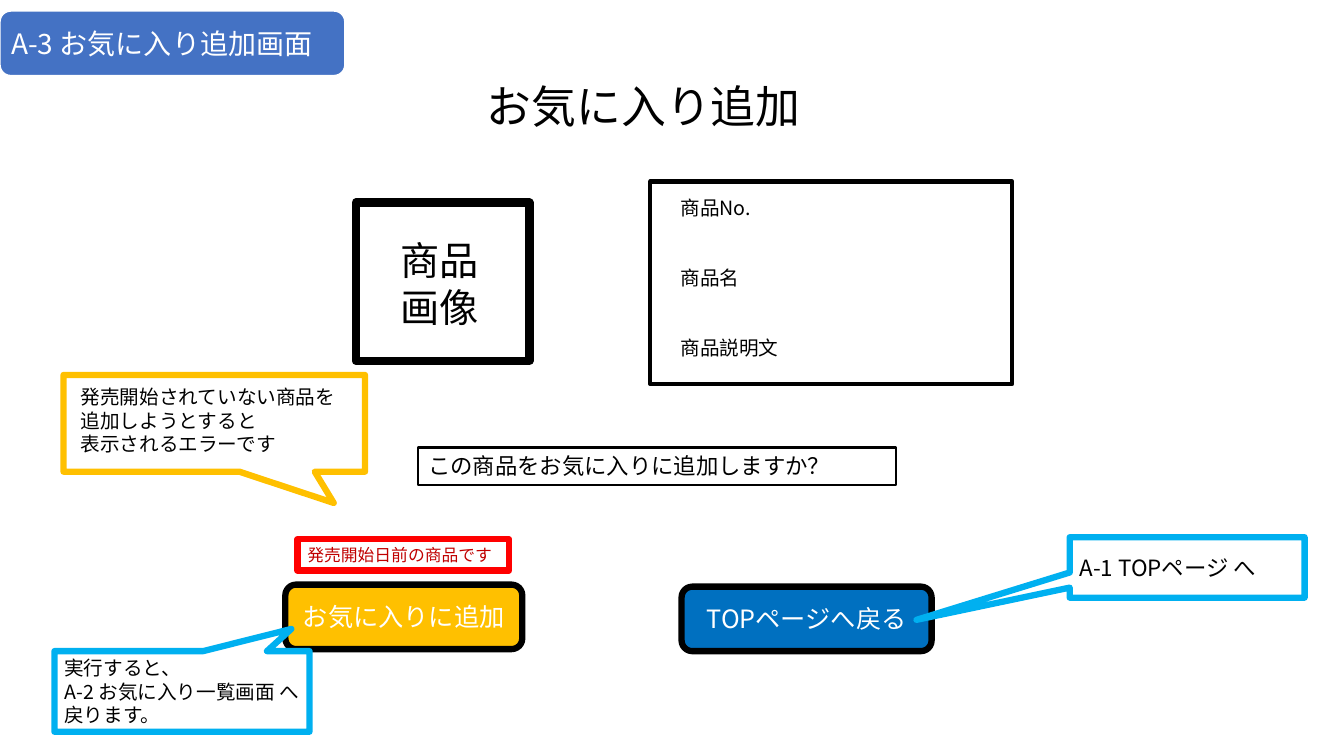
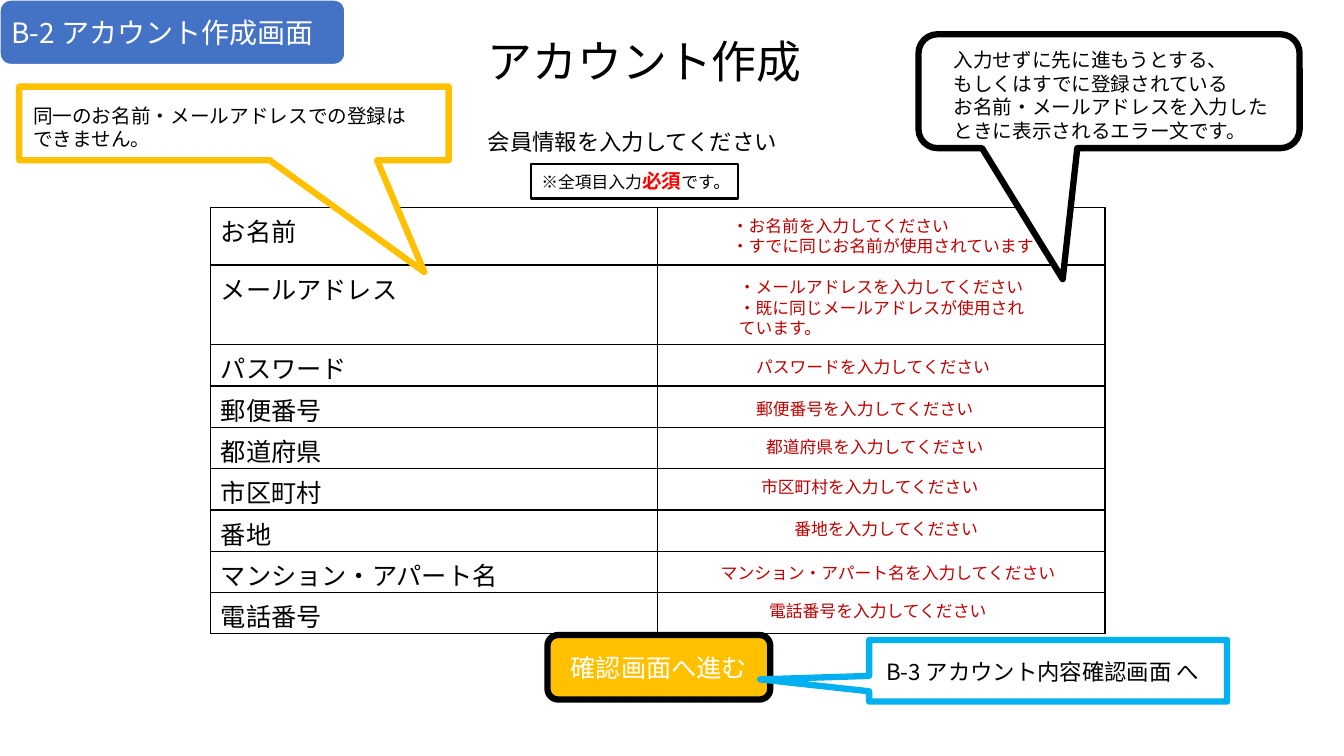
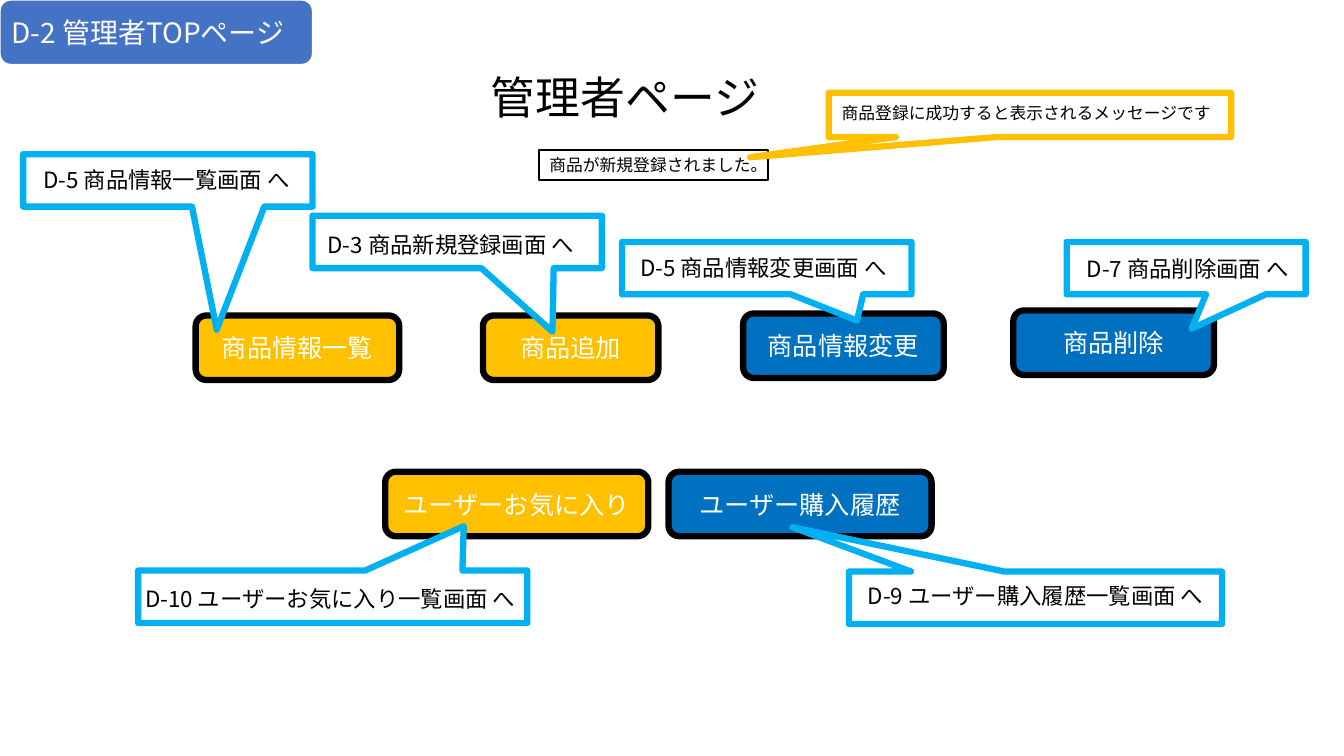
from lxml import etree
from pptx import Presentation
from pptx.dml.color import RGBColor
from pptx.enum import shapes, text
from pptx.oxml import ns
from pptx.util import Inches, Pt

FONT = "Noto Sans CJK JP"
COLORS = {
    "black": "000000", "white": "FFFFFF", "tag": "4472C4", "amber": "FFC000",
    "blue": "0070C0", "sky": "00B0F0", "red": "FF0000", "error": "C00000",
}
SHAPE = shapes.MSO_SHAPE
BUTTON_HEIGHT = 0.64

# Boxes are (left, top, width, height) in inches.
# Notes: (box, line colour, line width, text size, text colour, paragraphs)
# Labels: (box, text size, text colour, paragraphs, space between paragraphs)
# Buttons: (left, top, width, fill, text)
# Callouts: (box, tip, line colour, text box, text size, paragraphs)
FAVORITE = {
    "tag": ("A-3 お気に入り追加画面", 0.11, 3.42),
    "title": ("お気に入り追加", (4.73, 0.73, 5.87, 0.64)),
    "frames": [((3.53, 2.01, 1.72, 1.57), 6), ((6.45, 1.8, 3.59, 2.01), 3)],
    "labels": [
        ((3.87, 2.29, 1.03, 0.85), 28, "black", ["商品", "画像"], 0),
        ((6.65, 1.89, 3.22, 1.79), 14, "black", ["商品No.", "商品名", "商品説明文"], 33.5),
    ],
    "notes": [
        ((4.15, 4.44, 4.74, 0.37), "black", 1.5, 16, "black",
         ["この商品をお気に入りに追加しますか？"]),
        ((2.95, 5.35, 2.1, 0.31), "red", 4.5, 12, "error", ["発売開始日前の商品です"]),
    ],
    "buttons": [
        (2.83, 5.8, 2.35, "amber", "お気に入りに追加"),
        (6.76, 5.82, 2.48, "blue", "TOPページへ戻る"),
    ],
    "callouts": [
        ((0.63, 3.72, 2.99, 0.96), (3.31, 4.99), "amber", (0.7, 3.77, 4.33, 1.05), 14,
         ["発売開始されていない商品を", "追加しようとすると", "表示されるエラーです"]),
        ((0.54, 6.46, 2.53, 0.8), (2.89, 6.24), "sky", (0.54, 6.46, 2.54, 1.08), 14,
         ["実行すると、", "A-2 お気に入り一覧画面 へ戻ります。"]),
        ((10.61, 5.33, 2.33, 0.6), (9.09, 6.15), "sky", (10.61, 5.45, 2.35, 0.64), 16,
         ["A-1 TOPページ へ"]),
    ],
}

ACCOUNT = {
    "tag": ("B-2 アカウント作成画面", 0, 3.42),
    "title": ("アカウント作成", (4.74, 0.29, 3.57, 0.64)),
    "table": {
        "at": (2.09, 2.06), "cols": [4.43, 4.44], "rows": [0.57, 0.79] + [0.41] * 7,
        "fields": ["お名前", "メールアドレス", "パスワード", "郵便番号", "都道府県",
                   "市区町村", "番地", "マンション・アパート名", "電話番号"],
    },
    "labels": [((4.74, 1.22, 3.12, 0.37), 16, "black", ["会員情報を入力してください"], 0)] + [
        (box, 12, "error", lines, 0) for box, lines in [
            ((7.16, 2.09, 3.36, 0.5),
             ["・お名前を入力してください", "・すでに同じお名前が使用されています"]),
            ((7.23, 2.7, 3.16, 0.71),
             ["・メールアドレスを入力してください",
              "・既に同じメールアドレスが使用されています。"]),
            ((7.4, 3.49, 2.99, 0.3), ["パスワードを入力してください"]),
            ((7.4, 3.91, 2.99, 0.3), ["郵便番号を入力してください"]),
            ((7.5, 4.28, 2.99, 0.3), ["都道府県を入力してください"]),
            ((7.45, 4.68, 2.99, 0.3), ["市区町村を入力してください"]),
            ((7.78, 5.1, 2.99, 0.3), ["番地を入力してください"]),
            ((7.05, 5.53, 3.72, 0.3), ["マンション・アパート名を入力してください"]),
            ((7.53, 5.91, 2.99, 0.3), ["電話番号を入力してください"]),
        ]
    ],
    "notes": [
        ((5.27, 1.63, 2.05, 0.34), "black", 1.5, 12, "black",
         [["※全項目入力", ("必須", 14, "red", True), "です。"]]),
    ],
    "buttons": [(5.43, 6.3, 2.21, "amber", "確認画面へ進む")],
    "callouts": [
        ((9.11, 0.34, 3.78, 1.13), (10.54, 2.77), "black", (9.36, 0.43, 3.52, 1.04), 14,
         ["入力せずに先に進もうとする、", "もしくはすでに登録されている",
          "お名前・メールアドレスを入力した", "ときに表示されるエラー文です。"]),
        ((8.62, 6.35, 3.55, 0.61), (7.54, 6.74), "sky", (8.69, 6.48, 3.58, 0.64), 16,
         ["B-3 アカウント内容確認画面 へ"]),
        ((0.19, 0.86, 4.26, 0.73), (4.21, 2.7), "amber", (0.23, 0.98, 4.23, 0.79), 14,
         ["同一のお名前・メールアドレスでの登録は", "できません。"]),
    ],
}

ADMIN = {
    "tag": ("D-2 管理者TOPページ", 0, 3.1),
    "title": ("管理者ページ", (4.77, 0.64, 3.42, 0.64)),
    "notes": [
        ((5.35, 1.49, 2.27, 0.3), "black", 1.5, 12, "black", ["商品が新規登録されました。"]),
    ],
    "buttons": [
        (1.94, 3.13, 2.02, "amber", "商品情報一覧"),
        (4.79, 3.13, 1.74, "amber", "商品追加"),
        (7.37, 3.11, 1.99, "blue", "商品情報変更"),
        (10.05, 3.08, 1.99, "blue", "商品削除"),
        (3.82, 4.68, 2.61, "amber", "ユーザーお気に入り"),
        (6.63, 4.68, 2.61, "blue", "ユーザー購入履歴"),
    ],
    "callouts": [
        ((3.1, 2.14, 2.87, 0.52), (5.48, 3.29), "sky", (3.15, 2.24, 2.89, 0.64), 16,
         ["D-3 商品新規登録画面 へ"]),
        ((0.23, 1.53, 2.87, 0.52), (2.15, 3.27), "sky", (0.33, 1.6, 2.89, 0.64), 16,
         ["D-5 商品情報一覧画面 へ"]),
        ((1.37, 5.66, 3.86, 0.52), (4.6, 5.22), "sky", (1.34, 5.76, 3.98, 0.64), 16,
         ["D-10 ユーザーお気に入り一覧画面 へ"]),
        ((8.42, 5.67, 3.7, 0.52), (7.86, 5.23), "sky", (8.51, 5.73, 3.73, 0.64), 16,
         ["D-9 ユーザー購入履歴一覧画面 へ"]),
        ((10.58, 2.4, 2.37, 0.52), (11.82, 3.26), "sky", (10.68, 2.48, 2.37, 0.64), 16,
         ["D-7 商品削除画面 へ"]),
        ((6.17, 2.4, 2.87, 0.52), (8.5, 3.18), "sky", (6.25, 2.47, 2.89, 0.64), 16,
         ["D-5 商品情報変更画面 へ"]),
        ((8.22, 0.92, 3.99, 0.44), (7.44, 1.56), "amber", (8.25, 0.97, 3.96, 0.38), 12,
         ["商品登録に成功すると表示されるメッセージです"]),
    ],
}


def rgb(name):
    return RGBColor.from_string(COLORS[name])


def inches(box):
    return [Inches(v) for v in box]


def add_run(p, content, size, color, bold=False):
    r = p.add_run()
    r.text = content
    r.font.size, r.font.bold = Pt(size), bold
    r.font.color.rgb = rgb(color)
    r.font.name = FONT
    east_asian = etree.SubElement(r.font._element, ns.qn("a:ea"))
    east_asian.set("typeface", FONT)


def write(tf, paragraphs, size, color, align=text.PP_ALIGN.LEFT, gap=0):
    """Fill a text frame; a paragraph is a string or a list of runs."""
    for i, runs in enumerate(paragraphs):
        p = tf.add_paragraph() if i else tf.paragraphs[0]
        p.alignment = align
        if i and gap:
            p.space_before = Pt(gap)
        for run in [runs] if isinstance(runs, str) else runs:
            add_run(p, *((run, size, color) if isinstance(run, str) else run))


def fit(tf):
    tf.word_wrap = True
    tf.auto_size = text.MSO_AUTO_SIZE.SHAPE_TO_FIT_TEXT
    tf.vertical_anchor = text.MSO_ANCHOR.TOP


def add_shape(s, kind, box, fill, line, width):
    sp = s.shapes.add_shape(kind, *inches(box))
    sp.shadow.inherit = False
    if fill:
        sp.fill.solid()
        sp.fill.fore_color.rgb = rgb(fill)
    else:
        sp.fill.background()
    sp.line.color.rgb = rgb(line)
    sp.line.width = Pt(width)
    return sp


def add_label(s, box, size, color, paragraphs, gap=0):
    tf = s.shapes.add_textbox(*inches(box)).text_frame
    fit(tf)
    write(tf, paragraphs, size, color, gap=gap)


def add_tag(s, label, top, width):
    sp = add_shape(s, SHAPE.ROUNDED_RECTANGLE, (0, top, width, 0.64), "tag", "white", 1)
    tf = sp.text_frame
    tf.word_wrap = True
    tf.vertical_anchor = text.MSO_ANCHOR.MIDDLE
    tf.margin_left = tf.margin_right = tf.margin_top = tf.margin_bottom = Inches(0.08)
    write(tf, [label], 20, "white")


def add_note(s, box, line, width, size, color, paragraphs):
    tf = add_shape(s, SHAPE.RECTANGLE, box, None, line, width).text_frame
    fit(tf)
    write(tf, paragraphs, size, color)


def add_button(s, left, top, width, fill, label):
    box = (left, top, width, BUTTON_HEIGHT)
    sp = add_shape(s, SHAPE.FLOWCHART_ALTERNATE_PROCESS, box, fill, "black", 4.5)
    sp.text_frame.word_wrap = True
    sp.text_frame.vertical_anchor = text.MSO_ANCHOR.MIDDLE
    write(sp.text_frame, [label], 18, "white", text.PP_ALIGN.CENTER)


def add_callout(s, box, tip, line, text_box, size, paragraphs):
    """Draw a callout pointing at tip; black ones have round corners."""
    kind = SHAPE.ROUNDED_RECTANGULAR_CALLOUT if line == "black" else SHAPE.RECTANGULAR_CALLOUT
    sp = add_shape(s, kind, box, "white", line, 4.5)
    for axis in (0, 1):
        start, length = box[axis], box[axis + 2]
        sp.adjustments[axis] = (tip[axis] - start) / length - 0.5
    add_label(s, text_box, size, "black", paragraphs)


def add_borders(cell):
    tc_pr = cell._tc.get_or_add_tcPr()
    for side in ("lnL", "lnR", "lnT", "lnB"):
        ln = etree.SubElement(tc_pr, ns.qn("a:" + side), w=str(Pt(1)))
        fill = etree.SubElement(ln, ns.qn("a:solidFill"))
        etree.SubElement(fill, ns.qn("a:srgbClr"), val=COLORS["black"])


def add_form(s, at, cols, rows, fields):
    box = (*at, sum(cols), sum(rows))
    table = s.shapes.add_table(len(rows), len(cols), *inches(box)).table
    table.first_row = table.horz_banding = False
    for column, width in zip(table.columns, cols):
        column.width = Inches(width)
    for row, height, field in zip(table.rows, rows, fields):
        row.height = Inches(height)
        for cell in row.cells:
            add_borders(cell)
            cell.fill.background()
        write(row.cells[0].text_frame, [field], 18, "black")


def build_slide(prs, content):
    s = prs.slides.add_slide(prs.slide_layouts[6])
    add_tag(s, *content["tag"])
    title, box = content["title"]
    add_label(s, box, 32, "black", [title])
    if "table" in content:
        add_form(s, **content["table"])
    for box, width in content.get("frames", []):
        add_shape(s, SHAPE.RECTANGLE, box, "white", "black", width)
    for key, add in (("labels", add_label), ("notes", add_note),
                     ("buttons", add_button), ("callouts", add_callout)):
        for item in content.get(key, []):
            add(s, *item)


def main():
    prs = Presentation()
    prs.slide_width, prs.slide_height = Inches(13.33), Inches(7.5)
    for content in (FAVORITE, ACCOUNT, ADMIN):
        build_slide(prs, content)
    prs.save("out.pptx")


if __name__ == "__main__":
    main()
